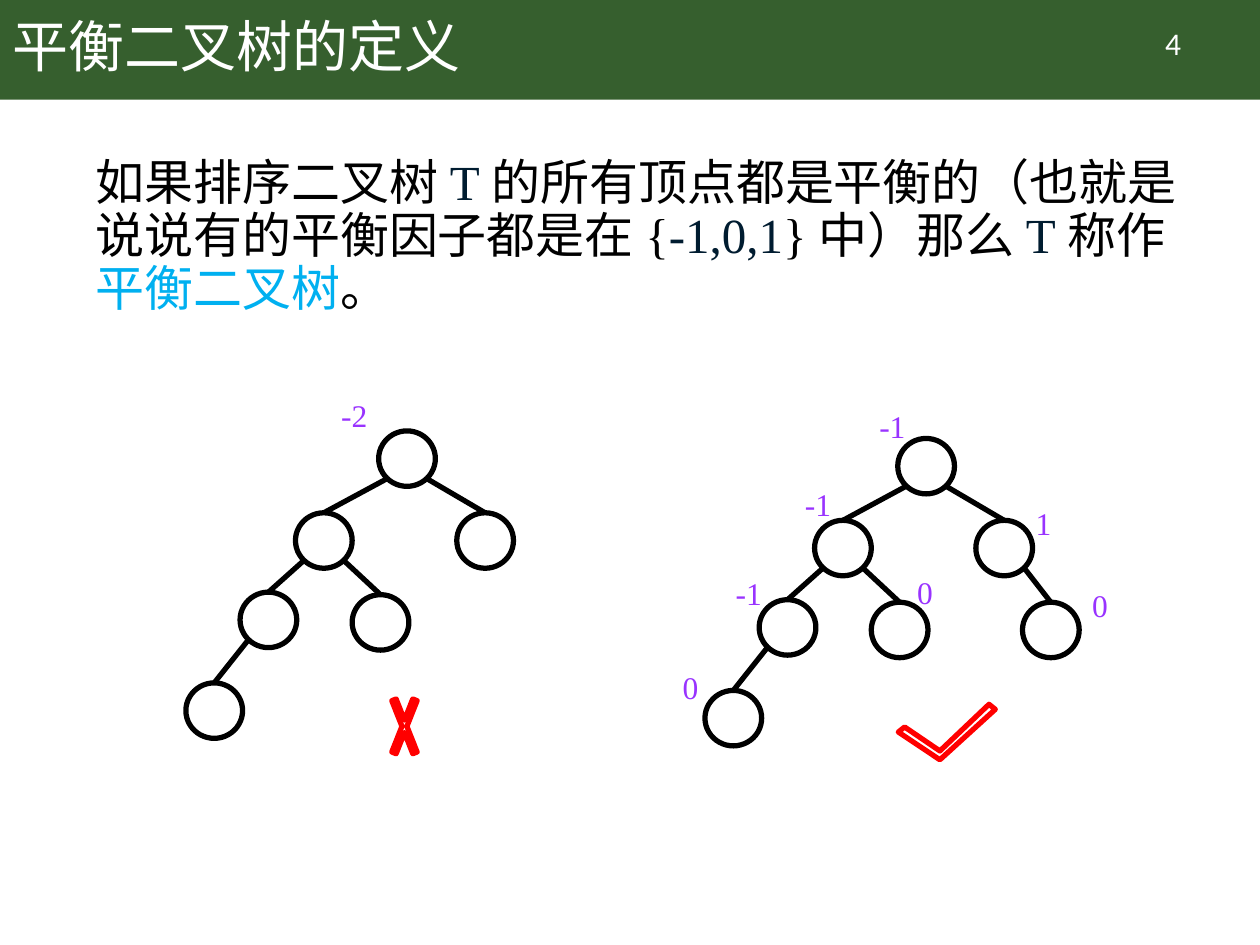
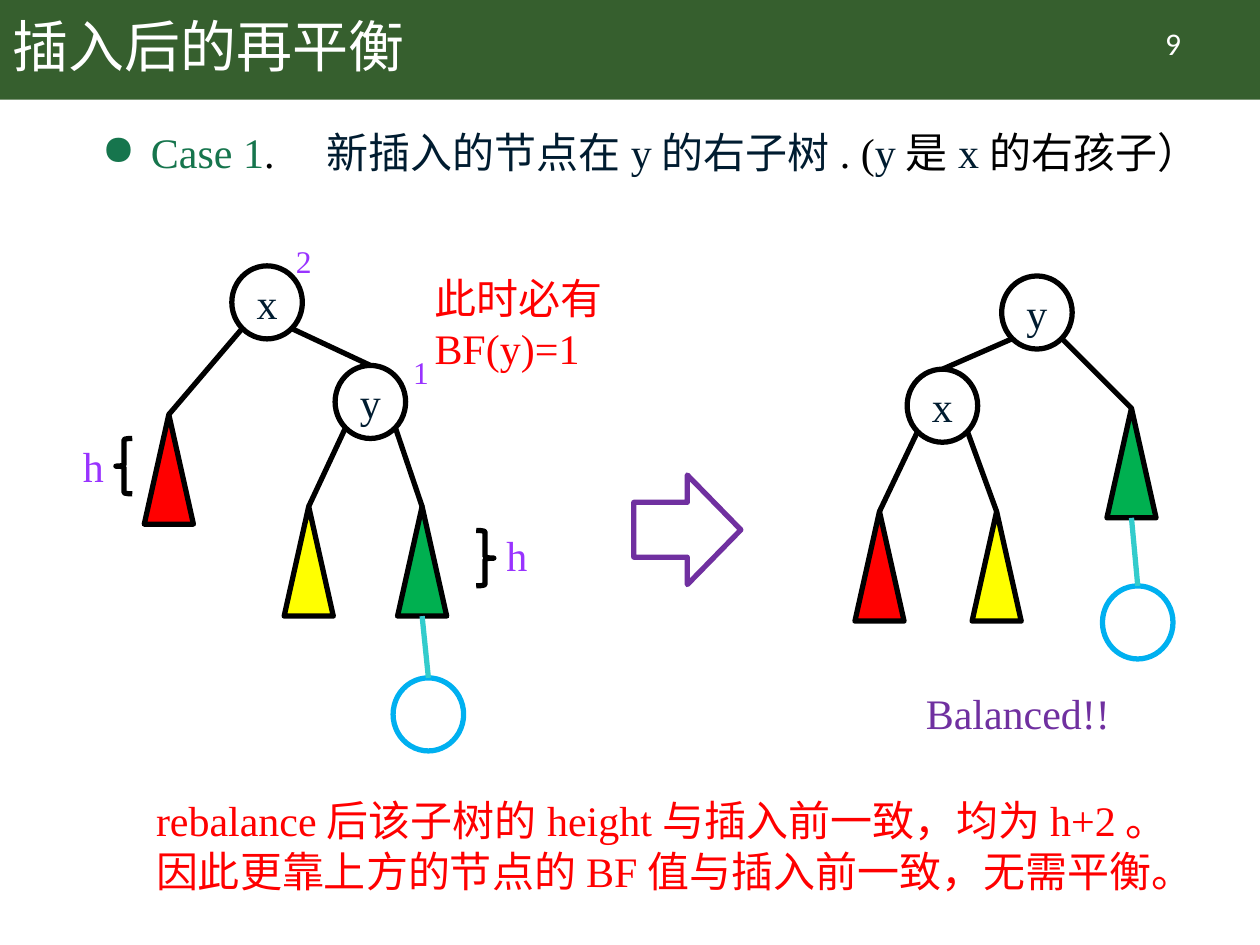
from lxml.etree import SubElement
from pptx import Presentation
from pptx.dml.color import RGBColor
from pptx.enum.shapes import MSO_CONNECTOR, MSO_SHAPE as SHAPE
from pptx.enum.text import MSO_ANCHOR as ANCHOR, PP_ALIGN as ALIGN
from pptx.oxml import parse_xml
from pptx.oxml.ns import nsdecls, qn
from pptx.util import Inches, Pt

BAND = RGBColor(0x36, 0x5F, 0x2E)
WHITE = RGBColor(0xFF, 0xFF, 0xFF)
BLACK = RGBColor(0x00, 0x00, 0x00)
NAVY = RGBColor(0x00, 0x1C, 0x30)
SKY = RGBColor(0x00, 0xB0, 0xF0)
TEAL = RGBColor(0x33, 0xCC, 0xCC)
VIOLET = RGBColor(0x99, 0x33, 0xFF)
PURPLE = RGBColor(0x70, 0x30, 0xA0)
RED = RGBColor(0xFF, 0x00, 0x00)
YELLOW = RGBColor(0xFF, 0xFF, 0x00)
GREEN = RGBColor(0x00, 0xB0, 0x50)
CASE = RGBColor(0x16, 0x75, 0x4D)
SERIF, SANS = "Times New Roman", "Calibri"

prs = Presentation()
prs.slide_width, prs.slide_height = Inches(10), Inches(7.5)
U = prs.slide_width // 10  # square grid: 10 columns by 7.5 rows


def put(s, kind, x, y, w, h, paras=(), size=24, font=SERIF, line=None, fill=None):
    """Add a preset shape (or a text box if kind is None) on the grid."""
    at = [round(v * U) for v in (x, y, w, h)]
    if kind is None:
        sp = s.shapes.add_textbox(*at)
    else:
        sp = s.shapes.add_shape(kind, *at)
        sp.shadow.inherit = False
    if fill is None:
        sp.fill.background()
    else:
        sp.fill.solid()
        sp.fill.fore_color.rgb = fill
    if line is None:
        sp.line.fill.background()
    else:
        sp.line.color.rgb = line
        sp.line.width = Pt(3)
        SubElement(sp.element.spPr.find(qn("a:ln")), qn("a:round"))
    tf = sp.text_frame
    tf.word_wrap = True
    for i, runs in enumerate(paras):
        p = tf.add_paragraph() if i else tf.paragraphs[0]
        p.font.size, p.font.name = Pt(size), font
        for text, color in runs:
            r = p.add_run()
            r.text = text
            r.font.color.rgb = color
    return sp


def link(s, x1, y1, x2, y2, color=BLACK):
    """Join two grid points with a straight line."""
    ends = [round(v * U) for v in (x1, y1, x2, y2)]
    c = s.shapes.add_connector(MSO_CONNECTOR.STRAIGHT, *ends)
    c.line.color.rgb = color
    c.line.width = Pt(3)
    SubElement(c.element.spPr, qn("a:effectLst"))


# Shared band, page number and title
slides = []
for title, number in (("平衡二叉树的定义", "4"), ("插入后的再平衡", "9")):
    s = prs.slides.add_slide(prs.slide_layouts[6])
    put(s, SHAPE.RECTANGLE, 0, 0, 10, 0.79, fill=BAND)
    sp = put(s, None, 8.71, 0.14, 1.2, 0.4, [[(number, WHITE)]], 18, SANS)
    sp.text_frame.paragraphs[0].alignment = ALIGN.CENTER
    sp = put(s, None, 0, 0, 8.62, 0.79, [[(title, WHITE)]], 32, SANS)
    sp.text_frame.vertical_anchor = ANCHOR.MIDDLE
    sp.text_frame.paragraphs[0].line_spacing = 0.9
    slides.append(s)

# Slide 1: definition
s = slides[0]
definition = [("如果排序二叉树", BLACK), ("T", NAVY),
              ("的所有顶点都是平衡的（也就是说说有的平衡因子都是在{", BLACK),
              ("-1,0,1", NAVY), ("}中）那么", BLACK), ("T", NAVY),
              ("称作", BLACK), ("平衡二叉树", SKY), ("。", BLACK)]
sp = put(s, None, 0.66, 1.21, 9.06, 1.67, [definition], 28)
p = sp.text_frame.paragraphs[0]
p.line_spacing, p.space_before = 0.9, Pt(10)

# Two trees: node centres measured from the root, keyed by the route to them
NODE_W, NODE_H, REACH = 0.45, 0.44, 0.16
centres = {"": (0, 0), "L": (-0.66, 0.65), "R": (0.62, 0.65),
           "LL": (-1.1, 1.28), "LR": (-0.21, 1.3), "LLL": (-1.53, 2),
           "RR": (0.99, 1.3)}
for root_x, root_y, skipped in ((3.23, 3.64, {"RR"}), (7.35, 3.7, set())):
    for route, (dx, dy) in centres.items():
        if route in skipped:
            continue
        x, y = root_x + dx, root_y + dy
        put(s, SHAPE.OVAL, x - NODE_W / 2, y - NODE_H / 2, NODE_W, NODE_H, line=BLACK)
        if route:
            px, py = centres[route[:-1]]
            side = -REACH if route[-1] == "L" else REACH
            link(s, root_x + px + side, root_y + py + REACH, x, y - NODE_H / 2)

# Balance factors
for factor, x, y in (("-2", 2.61, 3.09), ("0", 5.32, 5.25), ("-1", 5.74, 4.51),
                     ("0", 7.18, 4.5), ("0", 8.57, 4.6), ("1", 8.12, 3.95),
                     ("-1", 6.29, 3.8), ("-1", 6.88, 3.18)):
    put(s, None, x, y, 0.45, 0.4, [[(factor, VIOLET)]], 18)

# Cross and tick
cross = put(s, SHAPE.MATH_MULTIPLY, 3.05, 5.36, 0.32, 0.81, line=RED, fill=WHITE)
cross.adjustments[0] = 0.115
outline = [(713, 581), (746, 603), (790, 563), (785, 559), (746, 596), (718, 577)]
builder = s.shapes.build_freeform(*outline[0], scale=U / 100)
builder.add_line_segments(outline[1:], close=True)
tick = builder.convert_to_shape()
tick.shadow.inherit = False
tick.fill.solid()
tick.fill.fore_color.rgb = WHITE
tick.line.color.rgb = RED
tick.line.width = Pt(3)

# Slide 2: case heading
s = slides[1]
case = [("Case 1", CASE), (".　", BLACK), ("新插入的节点在y的右子树", NAVY),
        (". (", BLACK), ("y", NAVY), ("是", BLACK), ("x", NAVY),
        ("的右孩子）", BLACK)]
sp = put(s, None, 0.35, 1, 9.3, 0.57, [case])
p = sp.text_frame.paragraphs[0]
p.line_spacing, p.space_before = 0.9, Pt(5)
pPr = p.font._element.getparent() if hasattr(p.font, "_element") else p._p.pPr
pPr.set("marL", str(Inches(0.75)))
pPr.set("indent", str(Inches(-0.39)))
for xml in (f'<a:buClr {nsdecls("a")}><a:srgbClr val="{CASE}"/></a:buClr>',
            f'<a:buChar {nsdecls("a")} char="●"/>'):
    pPr.find(qn("a:defRPr")).addprevious(parse_xml(xml))

# Subtrees before and after the rotation: circles by centre, triangles by apex
BIG_W, BIG_H, DX, DY = 0.56, 0.58, 0.2, 0.21
TRI_W, TRI_H = 0.39, 0.87
before = (
    {"x": (2.12, 2.4), "y": (2.94, 3.19)},
    {RED: (1.34, 3.29), YELLOW: (2.45, 4.02), GREEN: (3.35, 4.02)},
    [("x", -1, RED), ("x", 1, "y"), ("y", -1, YELLOW), ("y", 1, GREEN)],
    (3.4, 5.67))
after = (
    {"y": (8.23, 2.48), "x": (7.48, 3.22)},
    {RED: (6.98, 4.06), YELLOW: (7.91, 4.06), GREEN: (8.98, 3.24)},
    [("y", -1, "x"), ("y", 1, GREEN), ("x", -1, RED), ("x", 1, YELLOW)],
    (9.03, 4.94))
for nodes, subtrees, edges, (new_x, new_y) in (before, after):
    for name, (x, y) in nodes.items():
        sp = put(s, SHAPE.OVAL, x - BIG_W / 2, y - BIG_H / 2, BIG_W, BIG_H,
                 [[(name, NAVY)]], line=BLACK)
        tf = sp.text_frame
        tf.margin_left = tf.margin_right = tf.margin_top = tf.margin_bottom = 0
        tf.vertical_anchor = ANCHOR.MIDDLE
        tf.paragraphs[0].alignment = ALIGN.CENTER
    for color, (x, y) in subtrees.items():
        put(s, SHAPE.ISOSCELES_TRIANGLE, x - TRI_W / 2, y, TRI_W, TRI_H,
            line=BLACK, fill=color)
    tops = {name: (x, y - BIG_H / 2) for name, (x, y) in nodes.items()} | subtrees
    for parent, side, child in edges:
        x, y = nodes[parent]
        link(s, x + side * DX, y + DY, *tops[child])
    # Newly inserted node under the green subtree
    put(s, SHAPE.OVAL, new_x - BIG_W / 2, new_y - BIG_H / 2, BIG_W, BIG_H, line=SKY)
    x, y = subtrees[GREEN]
    link(s, new_x, new_y - BIG_H / 2, x, y + TRI_H, TEAL)

# Heights, arrow and labels
put(s, SHAPE.RIGHT_BRACE, 3.78, 4.21, 0.14, 0.44, line=BLACK)
put(s, SHAPE.LEFT_BRACE, 0.92, 3.48, 0.13, 0.44, line=BLACK)
put(s, SHAPE.RIGHT_ARROW, 5.03, 3.77, 0.85, 0.87, line=PURPLE)
for text, x, y, w, size, color in (
        ("1", 3.18, 2.75, 0.44, 18, VIOLET), ("2", 2.25, 1.87, 0.44, 18, VIOLET),
        ("h", 3.92, 4.15, 0.44, 24, VIOLET), ("h", 0.56, 3.45, 0.44, 24, VIOLET),
        ("Balanced!!", 7.25, 5.41, 2.06, 24, PURPLE)):
    put(s, None, x, y, w, 0.5, [[(text, color)]], size)

# Remarks
put(s, None, 3.35, 2.11, 2.75, 0.91, [[("此时必有", RED)], [("BF(y)=1", RED)]])
put(s, None, 1.14, 6.26, 8.37, 0.91,
    [[("rebalance后该子树的height与插入前一致，均为h+2。", RED)],
     [("因此更靠上方的节点的BF值与插入前一致，无需平衡。", RED)]])

prs.save("out.pptx")
